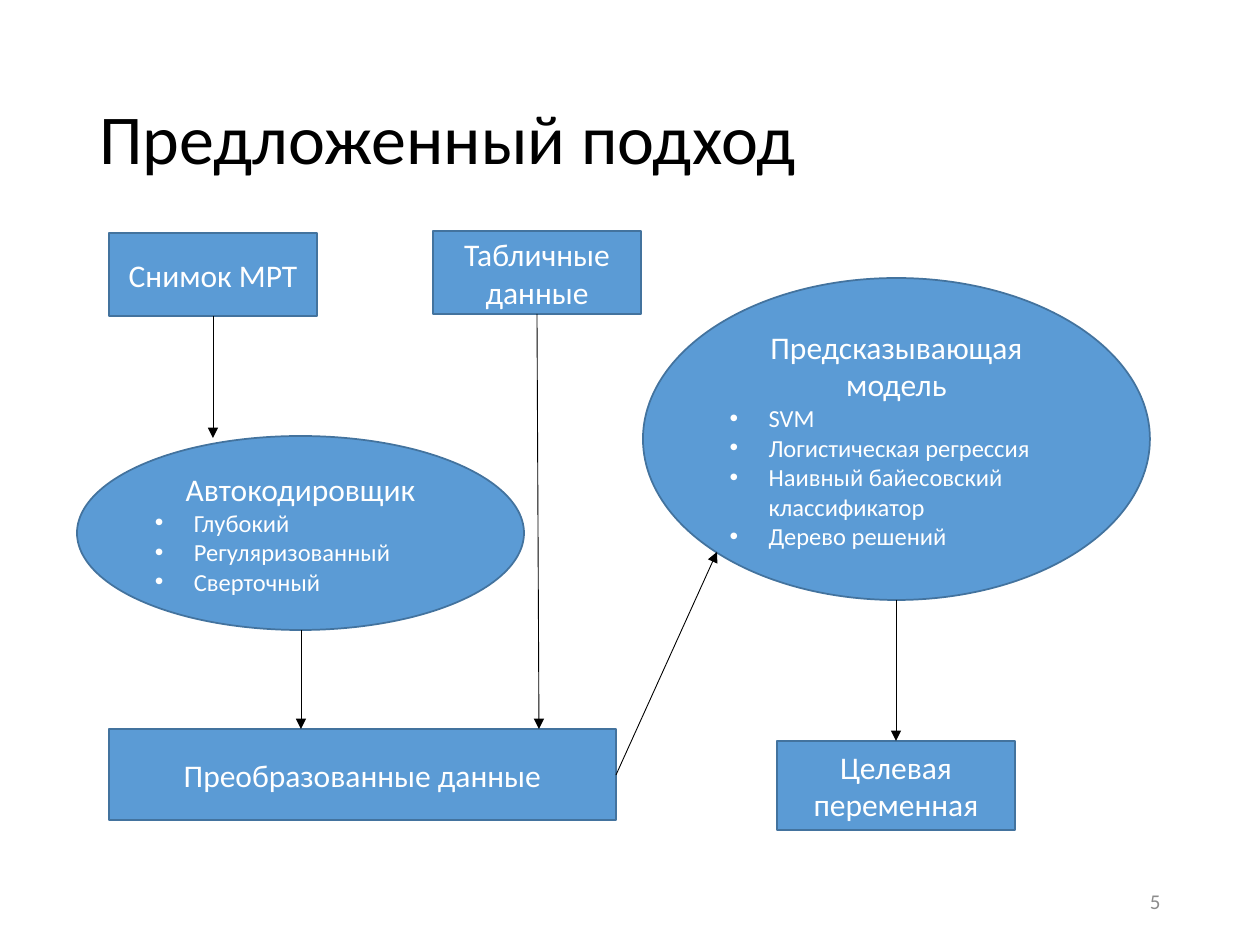
from dataclasses import dataclass

from lxml import etree
from pptx import Presentation
from pptx.dml.color import RGBColor
from pptx.enum.shapes import MSO_CONNECTOR, MSO_SHAPE
from pptx.enum.text import MSO_ANCHOR, PP_ALIGN
from pptx.oxml.ns import qn
from pptx.util import Emu, Pt

RECT, ELLIPSE = MSO_SHAPE.RECTANGLE, MSO_SHAPE.OVAL
STRAIGHT = MSO_CONNECTOR.STRAIGHT
MIDDLE = MSO_ANCHOR.MIDDLE
LEFT, CENTER, RIGHT = PP_ALIGN.LEFT, PP_ALIGN.CENTER, PP_ALIGN.RIGHT


@dataclass(frozen=True)
class Theme:
    font: str = "Calibri"
    title_size: int = 40
    node_size: int = 18
    item_size: int = 14
    number_size: int = 12
    ink: str = "000000"
    muted: str = "8C8C8C"
    node_fill: str = "5B9BD5"
    node_line: str = "43739E"
    node_text: str = "FFFFFF"


THEME = Theme()


def px(n):
    """Pixels at 126 to the inch."""
    return Emu(round(n * 914400 / 126))


def rgb(color):
    return RGBColor.from_string(color)


def write(paragraph, text, size, color, align=LEFT, spacing=None, bullet=False):
    paragraph.alignment = align
    if spacing:
        paragraph.line_spacing = spacing
    if bullet:
        p_pr = paragraph._p.get_or_add_pPr()
        p_pr.set("marL", str(px(39)))
        p_pr.set("indent", str(-px(39)))
        etree.SubElement(p_pr, qn("a:buFont"), typeface="Arial")
        etree.SubElement(p_pr, qn("a:buChar"), char="•")
    run = paragraph.add_run()
    run.text = text
    run.font.name = THEME.font
    run.font.size = Pt(size)
    run.font.color.rgb = rgb(color)


def add_label(slide, box, text, **text_format):
    frame = slide.shapes.add_textbox(*map(px, box)).text_frame
    frame.word_wrap = True
    frame.vertical_anchor = MIDDLE
    write(frame.paragraphs[0], text, **text_format)


def add_node(slide, kind, box, heading, items=()):
    node = slide.shapes.add_shape(kind, *map(px, box))
    node.shadow.inherit = False
    node.fill.solid()
    node.fill.fore_color.rgb = rgb(THEME.node_fill)
    node.line.color.rgb = rgb(THEME.node_line)
    node.line.width = Pt(1)
    frame = node.text_frame
    frame.word_wrap = True
    frame.vertical_anchor = MIDDLE
    write(frame.paragraphs[0], heading, THEME.node_size, THEME.node_text, CENTER)
    for item in items:
        write(frame.add_paragraph(), item, THEME.item_size, THEME.node_text, bullet=True)


def add_arrow(slide, start, end):
    arrow = slide.shapes.add_connector(STRAIGHT, *map(px, start + end))
    arrow.line.color.rgb = rgb(THEME.ink)
    arrow.line.width = Pt(0.5)
    etree.SubElement(arrow.line._get_or_add_ln(), qn("a:tailEnd"), type="triangle")
    etree.SubElement(arrow._element.spPr, qn("a:effectLst"))


def main():
    deck = Presentation()
    deck.slide_width, deck.slide_height = px(1260), px(945)
    slide = deck.slides.add_slide(deck.slide_layouts[6])

    # Title and slide number
    add_label(slide, (87, 50, 1086, 183), "Предложенный подход",
              size=THEME.title_size, color=THEME.ink, spacing=0.9)
    add_label(slide, (890, 876, 283, 50), "5",
              size=THEME.number_size, color=THEME.muted, align=RIGHT)

    # Input data
    add_node(slide, RECT, (109, 233, 208, 83), "Снимок МРТ")
    add_node(slide, RECT, (433, 231, 208, 83), "Табличные данные")

    # Processing and result
    add_node(slide, RECT, (109, 729, 507, 91), "Преобразованные данные")
    add_node(slide, ELLIPSE, (77, 436, 447, 194), "Автокодировщик",
             ["Глубокий", "Регуляризованный", "Сверточный"])
    add_node(slide, ELLIPSE, (643, 278, 507, 322), "Предсказывающая модель",
             ["SVM", "Логистическая регрессия",
              "Наивный байесовский классификатор", "Дерево решений"])
    add_node(slide, RECT, (777, 741, 238, 89), "Целевая переменная")

    # Data flow
    for start, end in [
        ((213, 316), (213, 438)),  # scan to autoencoder
        ((301, 630), (301, 729)),  # autoencoder to transformed data
        ((537, 314), (539, 729)),  # tabular data to transformed data
        ((616, 775), (717, 552)),  # transformed data to model
        ((896, 600), (896, 741)),  # model to target variable
    ]:
        add_arrow(slide, start, end)

    deck.save("out.pptx")


if __name__ == "__main__":
    main()
